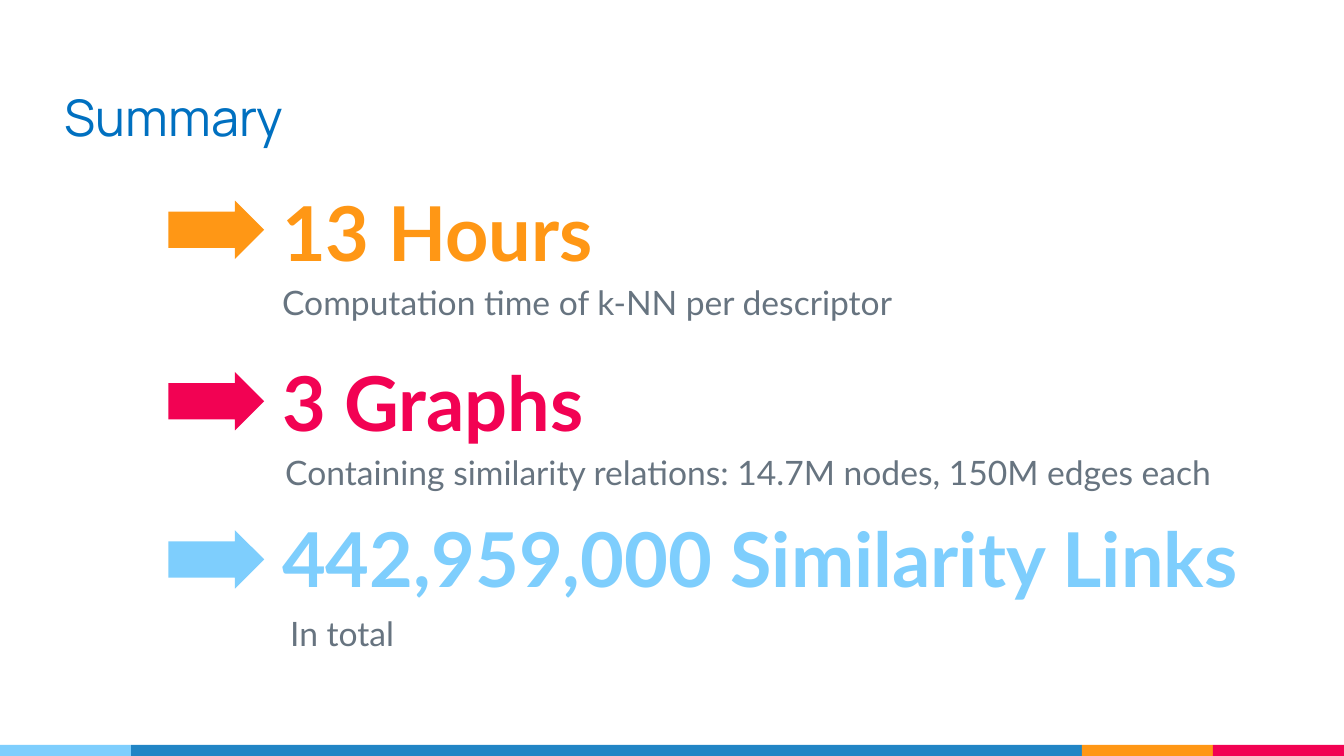
from pptx import Presentation
from pptx.dml.color import RGBColor
from pptx.enum.shapes import MSO_SHAPE
from pptx.enum.text import MSO_ANCHOR, MSO_AUTO_SIZE, PP_ALIGN
from pptx.util import Inches, Pt

ORANGE = RGBColor(0xFF, 0x97, 0x15)
PINK = RGBColor(0xF2, 0x02, 0x53)
SKY = RGBColor(0x7E, 0xCE, 0xFD)
BLUE = RGBColor(0x21, 0x85, 0xC5)
TITLE = RGBColor(0x00, 0x70, 0xC0)
GRAY = RGBColor(0x67, 0x74, 0x80)

deck = Presentation()
deck.slide_width = Inches(13.33)
deck.slide_height = Inches(7.5)
slide = deck.slides.add_slide(deck.slide_layouts[5])


def add_solid(kind, left, top, width, height, color):
    shape = slide.shapes.add_shape(
        kind, Inches(left), Inches(top), Inches(width), Inches(height))
    shape.shadow.inherit = False
    shape.fill.solid()
    shape.fill.fore_color.rgb = color
    shape.line.fill.background()
    return shape


def set_text(box, text, face, size, color, anchor, bold=False):
    frame = box.text_frame
    frame.word_wrap = True
    frame.auto_size = MSO_AUTO_SIZE.NONE
    frame.vertical_anchor = anchor
    frame.margin_left = frame.margin_right = Inches(0.1)
    frame.margin_top = frame.margin_bottom = Inches(0.1)
    line = frame.paragraphs[0]
    line.text = text
    line.alignment = PP_ALIGN.LEFT
    line.font.name = face
    line.font.size = Pt(size)
    line.font.bold = bold
    line.font.color.rgb = color


left = 0
for width, color in [(1.3, SKY), (9.43, BLUE), (1.3, ORANGE), (1.3, PINK)]:
    add_solid(MSO_SHAPE.RECTANGLE, left, 7.39, width, 0.11, color)
    left += width

title = slide.shapes.title
title.left, title.top = Inches(0.54), Inches(0.3)
title.width, title.height = Inches(12.25), Inches(1.25)
set_text(title, "Summary", "Manrope", 36, TITLE, MSO_ANCHOR.BOTTOM)

facts = [
    ("13 Hours", "Computation time of k-NN per descriptor",
     ORANGE, 1.99, 2.06, 2.7, 2.7),
    ("3 Graphs", "Containing similarity relations: 14.7M nodes, 150M edges each",
     PINK, 3.69, 3.75, 2.73, 4.38),
    ("442,959,000 Similarity Links", "In total",
     SKY, 5.26, 5.3, 2.78, 5.98),
]
for head, note, color, tip, top, left, base in facts:
    arrow = add_solid(MSO_SHAPE.RIGHT_ARROW, 1.67, tip, 0.95, 0.58, color)
    arrow.adjustments[0] = 0.62
    arrow.adjustments[1] = 0.5
    box = slide.shapes.add_textbox(
        Inches(2.7), Inches(top), Inches(9.93), Inches(0.78))
    set_text(box, head, "Lato", 54, color, MSO_ANCHOR.BOTTOM, True)
    box = slide.shapes.add_textbox(
        Inches(left), Inches(base), Inches(9.73), Inches(0.4))
    set_text(box, note, "Lato", 24, GRAY, MSO_ANCHOR.TOP)

deck.save("out.pptx")
